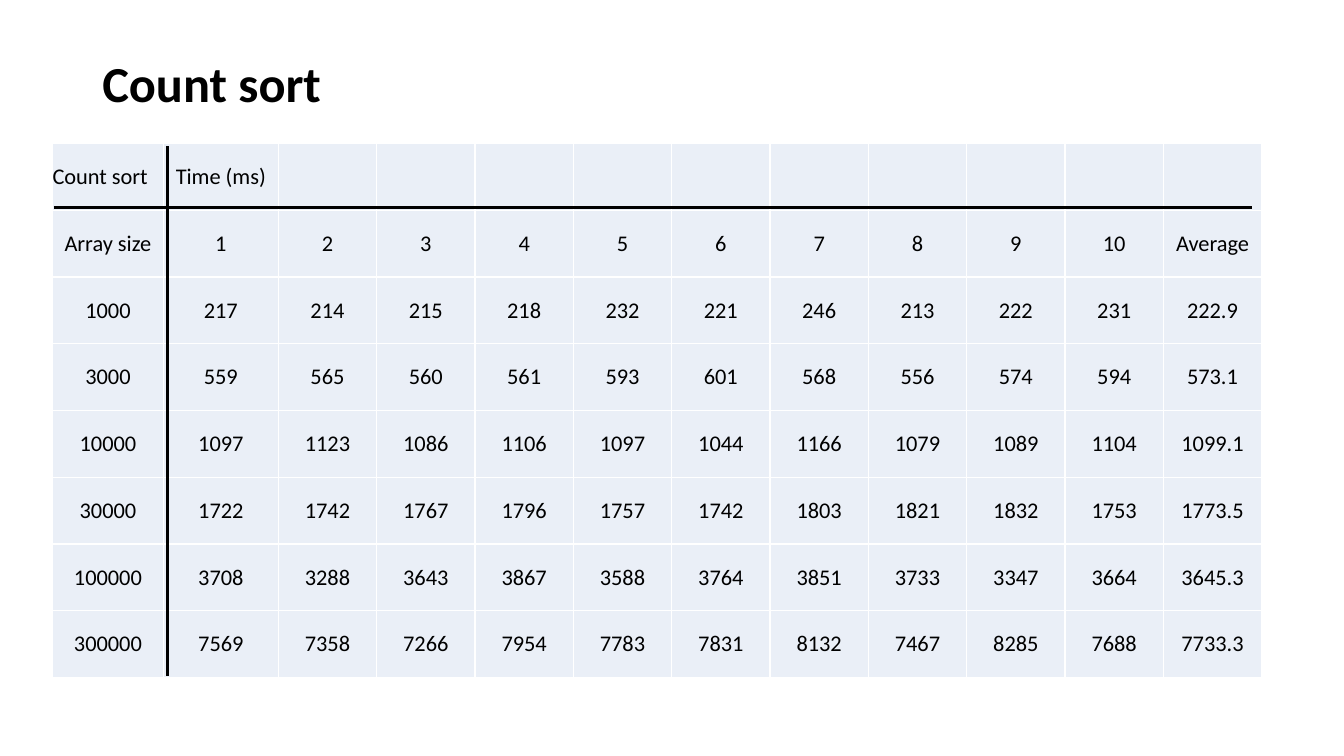
from dataclasses import dataclass

from lxml.etree import SubElement
from pptx import Presentation
from pptx.dml.color import RGBColor
from pptx.enum.shapes import MSO_CONNECTOR
from pptx.enum.text import MSO_ANCHOR as ANCHOR, PP_ALIGN as ALIGN
from pptx.oxml import parse_xml
from pptx.oxml.ns import nsdecls, qn
from pptx.slide import Slide
from pptx.table import _Cell as Cell
from pptx.util import Pt

FONT = "Calibri"
BLACK, WHITE, PALE_BLUE = "000000", "FFFFFF", "EAEFF7"

TABLE_LEFT, TABLE_TOP = 37.5, 102.5
ROW_HEIGHT = 47.7
COLUMN_WIDTHS = [79.2, 82.1] + [70.27] * 10


@dataclass
class Timing:
    array_size: int
    runs: list[int]

    def row(self) -> list[str]:
        average = sum(self.runs) / len(self.runs)
        return [str(self.array_size), *map(str, self.runs), f"{average:.1f}"]


@dataclass
class Rule:
    x1: float
    y1: float
    x2: float
    y2: float


TIMINGS = [
    Timing(1000, [217, 214, 215, 218, 232, 221, 246, 213, 222, 231]),
    Timing(3000, [559, 565, 560, 561, 593, 601, 568, 556, 574, 594]),
    Timing(10000, [1097, 1123, 1086, 1106, 1097, 1044, 1166, 1079, 1089, 1104]),
    Timing(30000, [1722, 1742, 1767, 1796, 1757, 1742, 1803, 1821, 1832, 1753]),
    Timing(100000, [3708, 3288, 3643, 3867, 3588, 3764, 3851, 3733, 3347, 3664]),
    Timing(300000, [7569, 7358, 7266, 7954, 7783, 7831, 8132, 7467, 8285, 7688]),
]
ROWS = [
    ["Count sort", "Time (ms)"] + [""] * 10,
    ["Array size", *map(str, range(1, 11)), "Average"],
    *(timing.row() for timing in TIMINGS),
]
RULES = [
    Rule(119.5, 104.5, 119.5, 483),
    Rule(38.5, 148.5, 894, 148.5),
]


def color(hex_code: str) -> RGBColor:
    return RGBColor.from_string(hex_code)


def add_run(p, text: str, size: float, bold: bool = False) -> None:
    r = p.add_run()
    r.text = text
    r.font.name = FONT
    r.font.size = Pt(size)
    r.font.bold = bold
    r.font.color.rgb = color(BLACK)


def add_title(s: Slide, text: str) -> None:
    sp = s.shapes.add_textbox(Pt(66), Pt(28.8), Pt(828), Pt(104.4))
    tf = sp.text_frame
    tf.word_wrap = True
    tf.vertical_anchor = ANCHOR.MIDDLE
    tf.margin_bottom = Pt(43)
    p = tf.paragraphs[0]
    p.line_spacing = 0.9
    add_run(p, text, 36, bold=True)


def set_borders(cell: Cell, hex_code: str, width: float) -> None:
    tc_pr = cell._tc.get_or_add_tcPr()
    for index, side in enumerate(("lnL", "lnR", "lnT", "lnB")):
        tc_pr.insert(index, parse_xml(
            f'<a:{side} {nsdecls("a")} w="{Pt(width)}"><a:solidFill>'
            f'<a:srgbClr val="{hex_code}"/></a:solidFill></a:{side}>'))


def fill_cell(cell: Cell, text: str, align: ALIGN) -> None:
    cell.fill.solid()
    cell.fill.fore_color.rgb = color(PALE_BLUE)
    set_borders(cell, WHITE, 1)
    cell.vertical_anchor = ANCHOR.MIDDLE
    cell.margin_left = cell.margin_right = Pt(0)
    cell.margin_top = cell.margin_bottom = Pt(0)
    if text:
        p = cell.text_frame.paragraphs[0]
        p.alignment = align
        add_run(p, text, 16)


def add_timing_table(s: Slide) -> None:
    frame = s.shapes.add_table(
        len(ROWS), len(COLUMN_WIDTHS), Pt(TABLE_LEFT), Pt(TABLE_TOP),
        Pt(sum(COLUMN_WIDTHS)), Pt(ROW_HEIGHT * len(ROWS)))
    table = frame.table
    table.first_row = table.horz_banding = False
    for column, width in zip(table.columns, COLUMN_WIDTHS):
        column.width = Pt(width)
    for i, texts in enumerate(ROWS):
        table.rows[i].height = Pt(ROW_HEIGHT)
        for j, text in enumerate(texts):
            align = ALIGN.LEFT if i == j == 0 else ALIGN.CENTER
            fill_cell(table.cell(i, j), text, align)


def add_rule(s: Slide, rule: Rule) -> None:
    line = s.shapes.add_connector(
        MSO_CONNECTOR.STRAIGHT,
        Pt(rule.x1), Pt(rule.y1), Pt(rule.x2), Pt(rule.y2))
    line.line.color.rgb = color(BLACK)
    line.line.width = Pt(2.25)
    SubElement(line._element.spPr, qn("a:effectLst"))


def main() -> None:
    prs = Presentation()
    prs.slide_width, prs.slide_height = Pt(960), Pt(540)
    s = prs.slides.add_slide(prs.slide_layouts[6])
    add_title(s, "Count sort")
    add_timing_table(s)
    for rule in RULES:
        add_rule(s, rule)
    prs.save("out.pptx")


if __name__ == "__main__":
    main()
